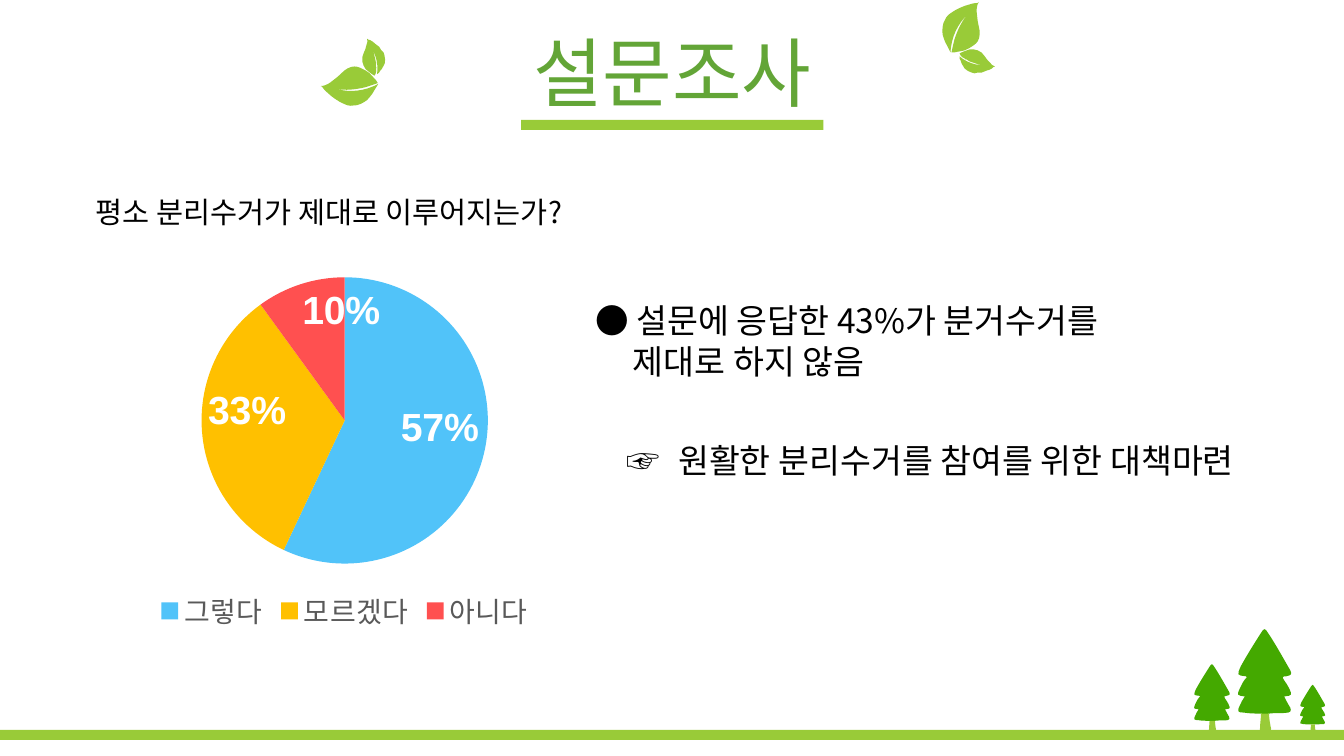
from math import cos, radians, sin

from lxml.etree import SubElement
from pptx import Presentation
from pptx.chart.data import CategoryChartData
from pptx.dml.color import RGBColor
from pptx.enum.chart import XL_CHART_TYPE, XL_LABEL_POSITION, XL_LEGEND_POSITION
from pptx.enum.shapes import MSO_SHAPE
from pptx.enum.text import MSO_ANCHOR, PP_ALIGN
from pptx.oxml.ns import qn
from pptx.util import Inches, Pt

THEME = {
    "lime": RGBColor.from_string("99CB38"),
    "tree": RGBColor.from_string("44A900"),
    "title": RGBColor.from_string("63A537"),
    "ink": RGBColor.from_string("000000"),
    "legend": RGBColor.from_string("595959"),
    "label": RGBColor.from_string("FFFFFF"),
    "answers": [RGBColor.from_string(c) for c in ("51C3F9", "FFC000", "FF5050")],
    "font": "Noto Sans CJK KR",
    "chart_font": "Arial",
    "title_size": Pt(54),
    "question_size": Pt(21),
    "finding_size": Pt(24),
    "legend_size": Pt(20),
    "label_size": Pt(28),
    "chart_size": Pt(10),
}
SLIDE_WIDTH = 40 / 3

TREE_CROWN = """-3,42
-8,42 -14,42 -20,41 -26,41 -27,40 -24,34 -23,31 -21,28 -19,25
-27,24 -27,24 -24,17 -23,15 -22,13 -21,11 -20,9 -18,7 -17,6
-18,5 -18,5 -18,5 -27,4 -27,4 -23,-5 -17,-16 -10,-27 -3,-38
0,-43 1,-43 4,-38 12,-26 19,-13 26,-1 28,3 27,4 22,5
18,5 18,6 20,9 22,11 23,14 25,17 28,24 28,24 20,25
22,29 24,33 26,36 27,39 27,40 24,41 18,42 11,41 5,42 2,43 0,43 -3,42"""
TREE_TRUNK = """-3,42
0,42 2,42 5,42 5,47 6,52 7,57 7,61 5,63 1,63
-2,64 -5,61 -4,57 -4,52 -3,47 -3,42"""
LARGE_LEAF = """-15,24
-14,8 -8,-4 3,-15 -4,-7 -8,2 -11,11 -12,15 -13,19 -14,24
-13,24 -12,24 -11,24 -7,23 -4,23 -1,22 2,21 5,19 8,17
10,16 11,14 12,13 13,11 14,9 14,6 14,4 14,1 13,-2
13,-4 13,-5 12,-7 12,-10 11,-13 11,-16 11,-17 11,-18 11,-19
11,-22 12,-24 13,-26 12,-26 12,-26 12,-25 8,-25 5,-24 2,-23
-2,-22 -6,-20 -10,-18 -13,-16 -17,-14 -19,-11 -20,-9 -21,-7 -22,-5
-23,-2 -23,0 -23,3 -23,5 -23,7 -22,9 -21,12 -20,15 -18,18
-17,20 -16,22 -15,24"""
SMALL_LEAF = """20,37
10,37 1,34 -6,28 -6,30 -6,31 -5,32 -5,33 -5,34 -4,35
-3,37 -2,38 -1,40 1,42 3,43 6,44 8,45 10,45 12,44
13,44 15,44 16,44 18,43 19,43 21,42 22,42 24,41 26,40
27,39 28,38 29,38 27,37 25,36 24,34 22,32 20,30 19,28
17,25 15,23 12,22 10,21 7,21 4,21 1,22 -2,23 -4,24
-5,25 -5,25 -6,25 -6,26 -6,26 -5,27 -5,27 -4,28 -3,29
-2,29 -1,30 0,31 0,31 1,31 1,31 2,32 3,32 4,33
7,34 10,35 13,36 15,37 18,37 20,37"""

prs = Presentation()
prs.slide_width, prs.slide_height = Inches(SLIDE_WIDTH), Inches(7.5)
slide = prs.slides.add_slide(prs.slide_layouts[6])


def add_curved(outline, x, y, color, scale=1, angle=0):
    turn_x, turn_y = cos(radians(angle)), sin(radians(angle))
    knots = []
    for pair in outline.split():
        dx, dy = (int(part) * scale / 100 for part in pair.split(","))
        knots.append((Inches(x + dx * turn_x - dy * turn_y),
                      Inches(y + dx * turn_y + dy * turn_x)))
    builder = slide.shapes.build_freeform(*knots[0])
    builder.add_line_segments(knots[1:], close=True)
    plant = builder.convert_to_shape()
    contour = next(plant._element.iter(qn("a:path")))
    segments = contour.findall(qn("a:lnTo"))
    for start in range(0, len(segments), 3):
        curve = SubElement(contour, qn("a:cubicBezTo"))
        for segment in segments[start:start + 3]:
            curve.append(segment[0])
            contour.remove(segment)
    contour.append(contour.find(qn("a:close")))
    plant.shadow.inherit = False
    plant.fill.solid()
    plant.fill.fore_color.rgb = color
    plant.line.fill.background()


def add_text(text, *, box, size, color=THEME["ink"], align=PP_ALIGN.LEFT, wrap=False,
             anchor=MSO_ANCHOR.TOP, spacing=1.0, margins=((0, 0),)):
    frame = slide.shapes.add_textbox(*(Inches(v) for v in box)).text_frame
    frame.word_wrap = wrap
    frame.vertical_anchor = anchor
    for index, (line, (left, first)) in enumerate(zip(text.split("\n"), margins)):
        paragraph = frame.paragraphs[0] if index == 0 else frame.add_paragraph()
        paragraph.alignment = align
        paragraph.line_spacing = spacing
        if left:
            properties = paragraph._p.get_or_add_pPr()
            properties.set("marL", str(Inches(left)))
            properties.set("indent", str(Inches(first)))
        run = paragraph.add_run()
        run.text = line
        run.font.size = size
        run.font.name = THEME["font"]
        run.font.color.rgb = color


for x, y, scale in ((12.54, 6.66, 1), (13.02, 6.99, 0.47), (12.02, 6.87, 0.67)):
    add_curved(TREE_CROWN, x, y, THEME["tree"], scale=scale)
    add_curved(TREE_TRUNK, x, y, THEME["lime"], scale=scale)

for x, y, angle in ((9.58, 0.28, 0), (3.47, 0.83, 238.6)):
    for leaf in (LARGE_LEAF, SMALL_LEAF):
        add_curved(leaf, x, y, THEME["lime"], angle=angle)

for x, y, width in ((5.17, 1.19, 3), (0, 7.24, SLIDE_WIDTH)):
    bar = slide.shapes.add_shape(
        MSO_SHAPE.RECTANGLE, Inches(x), Inches(y), Inches(width), Inches(0.1))
    bar.shadow.inherit = False
    bar.fill.solid()
    bar.fill.fore_color.rgb = THEME["lime"]
    bar.line.fill.background()

add_text("설문조사", box=(0.34, 0.37, 12.66, 0.79), size=THEME["title_size"],
         color=THEME["title"], align=PP_ALIGN.CENTER, wrap=True,
         anchor=MSO_ANCHOR.MIDDLE, spacing=0.9)

survey = CategoryChartData()
survey.categories = ["그렇다", "모르겠다", "아니다"]
survey.add_series("Series 1", (57, 33, 10))
pie = slide.shapes.add_chart(
    XL_CHART_TYPE.PIE, Inches(0.55), Inches(2.49), Inches(5.74), Inches(3.83), survey).chart
pie.has_title = False
pie.font.name = THEME["chart_font"]
pie.font.size = THEME["chart_size"]
pie.font.color.rgb = THEME["ink"]
pie.has_legend = True
pie.legend.position = XL_LEGEND_POSITION.BOTTOM
pie.legend.include_in_layout = False
pie.legend.font.name = THEME["chart_font"]
pie.legend.font.size = THEME["legend_size"]
pie.legend.font.color.rgb = THEME["legend"]
plot = pie.plots[0]
plot.vary_by_categories = True
for index, color in enumerate(THEME["answers"]):
    wedge = plot.series[0].points[index].format
    wedge.fill.solid()
    wedge.fill.fore_color.rgb = color
    wedge.line.fill.background()
shares = plot.series[0].data_labels
shares.show_percentage = True
shares.show_value = False
shares.number_format = "0%"
shares.number_format_is_linked = False
shares.position = XL_LABEL_POSITION.INSIDE_END
shares.font.name = THEME["chart_font"]
shares.font.size = THEME["label_size"]
shares.font.bold = True
shares.font.color.rgb = THEME["label"]

add_text("평소 분리수거가 제대로 이루어지는가?", box=(0.85, 1.88, 5.38, 0.45),
         size=THEME["question_size"])
add_text("● 설문에 응답한 43%가 분거수거를\n제대로 하지 않음", box=(5.81, 2.93, 5.73, 0.91),
         size=THEME["finding_size"], margins=((0, 0), (0.37, 0)))
add_text("☞\t원활한 분리수거를 참여를 위한 대책마련", box=(6.12, 4.32, 6.93, 0.5),
         size=THEME["finding_size"], margins=((0.51, -0.51),))

prs.save("out.pptx")
